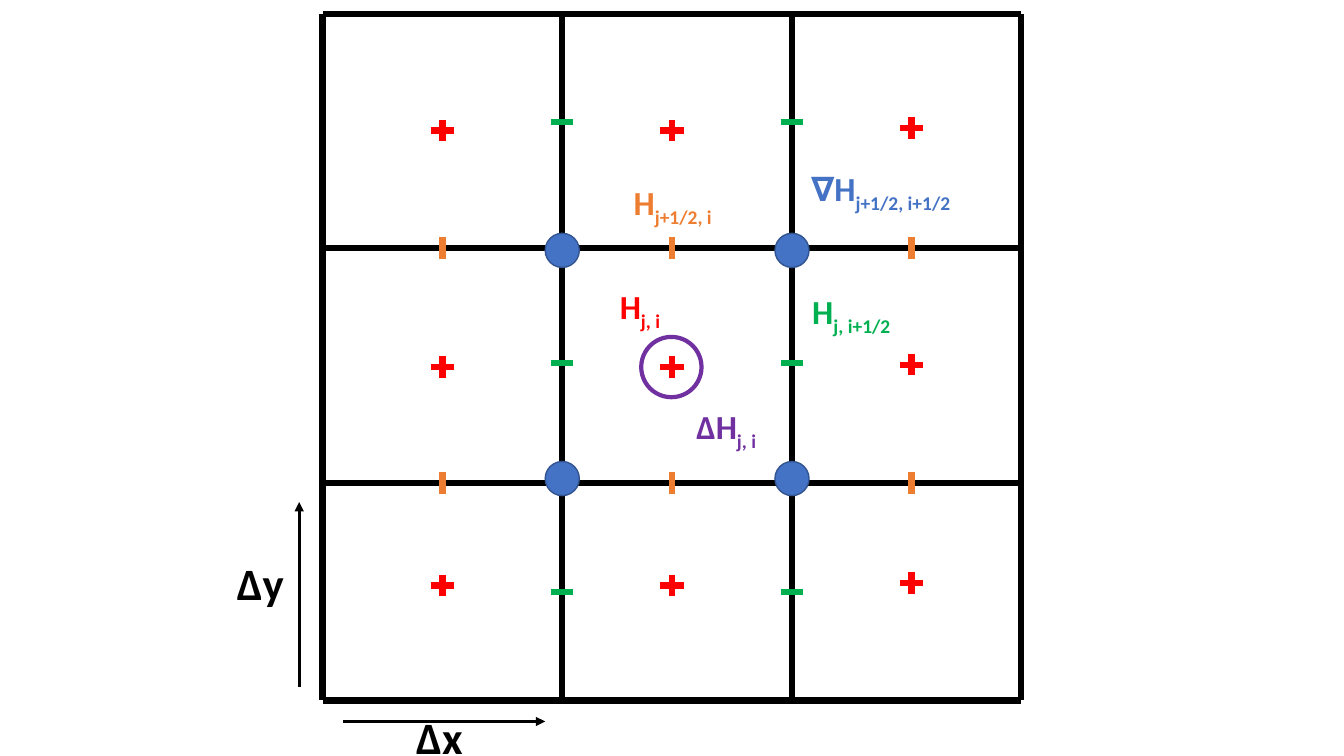
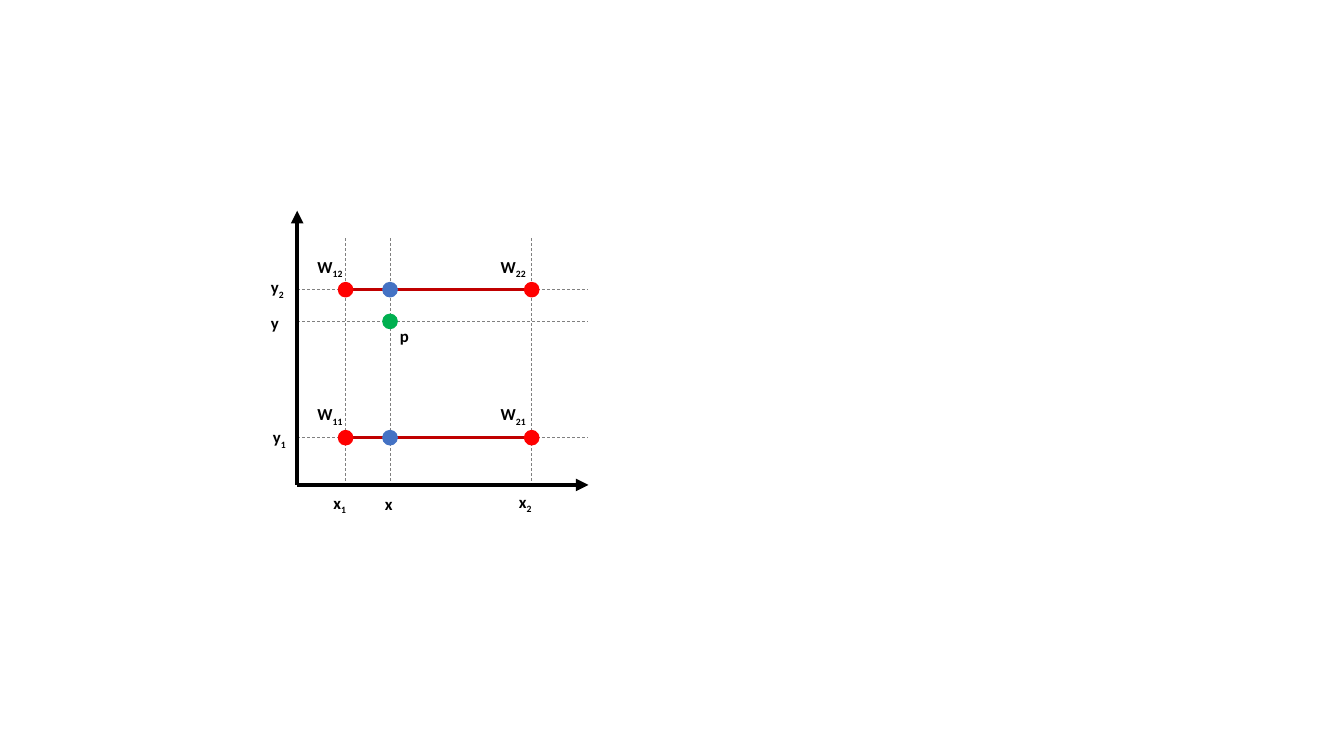
from dataclasses import dataclass
from itertools import product

from lxml import etree
from pptx import Presentation
from pptx import util as u
from pptx.dml import color
from pptx.enum import dml, shapes, text
from pptx.oxml import ns
from pptx.shapes import shapetree

Canvas = shapetree.SlideShapes | shapetree.GroupShapes

BLACK = "000000"
GREY = "808080"
RED = "FF0000"
DARK_RED = "C00000"
GREEN = "00B050"
BLUE = "4472C4"
DARK_BLUE = "325490"
ORANGE = "ED7D31"
PURPLE = "7030A0"
FONT = "Calibri"


@dataclass(frozen=True)
class Stroke:
    hue: str
    width: float
    dashed: bool = False
    arrow: bool = False


@dataclass(frozen=True)
class Label:
    base: str
    subscript: str
    left: float
    top: float
    width: float
    height: float
    size: int
    hue: str = BLACK


@dataclass(frozen=True)
class Dot:
    x: float
    y: float
    radius: float
    fill: str | None
    stroke: Stroke


def rgb(value: str) -> color.RGBColor:
    return color.RGBColor.from_string(value)


def draw_line(canvas: Canvas, x1: float, y1: float, x2: float, y2: float, stroke: Stroke) -> None:
    line = canvas.add_connector(
        shapes.MSO_CONNECTOR.STRAIGHT, u.Cm(x1), u.Cm(y1), u.Cm(x2), u.Cm(y2)
    )
    line.line.color.rgb = rgb(stroke.hue)
    line.line.width = u.Pt(stroke.width)
    if stroke.dashed:
        line.line.dash_style = dml.MSO_LINE.DASH
    if stroke.arrow:
        etree.SubElement(line.get_or_add_ln(), ns.qn("a:tailEnd")).set("type", "triangle")
    etree.SubElement(line._element.spPr, ns.qn("a:effectLst"))


def draw_dot(canvas: Canvas, dot: Dot) -> None:
    size = u.Cm(2 * dot.radius)
    circle = canvas.add_shape(
        shapes.MSO_SHAPE.OVAL, u.Cm(dot.x - dot.radius), u.Cm(dot.y - dot.radius), size, size
    )
    circle.shadow.inherit = False
    if dot.fill:
        circle.fill.solid()
        circle.fill.fore_color.rgb = rgb(dot.fill)
    else:
        circle.fill.background()
    circle.line.color.rgb = rgb(dot.stroke.hue)
    circle.line.width = u.Pt(dot.stroke.width)


def draw_label(canvas: Canvas, label: Label) -> None:
    box = canvas.add_textbox(
        u.Cm(label.left), u.Cm(label.top), u.Cm(label.width), u.Cm(label.height)
    )
    frame = box.text_frame
    frame.word_wrap = True
    frame.auto_size = text.MSO_AUTO_SIZE.SHAPE_TO_FIT_TEXT
    para = frame.paragraphs[0]
    for content, baseline in ((label.base, 0), (label.subscript, -25000)):
        if not content:
            continue
        span = para.add_run()
        span.text = content
        span.font.name = FONT
        span.font.size = u.Pt(label.size)
        span.font.bold = True
        span.font.color.rgb = rgb(label.hue)
        if baseline:
            span._r.get_or_add_rPr().set("baseline", str(baseline))


def draw_tick(canvas: Canvas, x: float, y: float, hue: str, dx: float = 0, dy: float = 0) -> None:
    draw_line(canvas, x - dx, y - dy, x + dx, y + dy, Stroke(hue, 4.5))


def build_staggered_grid(page_shapes: shapetree.SlideShapes) -> None:
    columns = (8.13, 14.17, 19.96, 25.73)
    rows = (0.36, 6.25, 12.17, 17.65)
    centre_columns = (11.15, 16.94, 22.97)
    centre_rows = (3.29, 9.25, 14.75)
    face_rows = (3.08, 9.15, 14.92)
    node_rows = (6.31, 12.06)
    half_tick = 0.28
    wall = Stroke(BLACK, 4.5)

    grid = page_shapes.add_group_shape().shapes
    draw_dot(grid, Dot(16.92, 9.25, 0.76, None, Stroke(PURPLE, 3)))
    for x in columns:
        draw_line(grid, x, rows[0], x, rows[-1], wall)
    for y in rows:
        draw_line(grid, columns[-1], y, columns[0], y, wall)
    for x, y in product(centre_columns, centre_rows):
        raised = y - 0.06 if x == centre_columns[-1] else y
        draw_tick(grid, x, raised, RED, dy=0.27)
        draw_tick(grid, x, raised, RED, dx=0.3)
    for x, y in product(centre_columns, rows[1:-1]):
        draw_tick(grid, x, y, ORANGE, dy=half_tick)
    for x, y in product(columns[1:-1], face_rows):
        draw_tick(grid, x, y, GREEN, dx=half_tick)
    for x, y in product(columns[1:-1], node_rows):
        draw_dot(grid, Dot(x, y, 0.43, BLUE, Stroke(DARK_BLUE, 1)))
    for label in (
        Label("H", "j, i", 15.37, 7.09, 1.9, 1.4, 24, RED),
        Label("H", "j+1/2, i", 15.72, 4.47, 2.77, 1.4, 24, ORANGE),
        Label("H", "j, i+1/2", 20.22, 7.21, 2.77, 1.4, 24, GREEN),
        Label("∇H", "j+1/2, i+1/2", 20.19, 4.11, 4.45, 1.4, 24, BLUE),
        Label("∆H", "j, i", 17.3, 10.11, 4.45, 1.4, 24, PURPLE),
    ):
        draw_label(grid, label)

    spacing = Stroke(BLACK, 2.25, arrow=True)
    draw_line(page_shapes, 7.54, 17.3, 7.54, 12.65, spacing)
    draw_line(page_shapes, 8.64, 18.18, 13.74, 18.18, spacing)
    draw_label(page_shapes, Label("∆y", "", 5.72, 13.87, 1.8, 1.6, 32))
    draw_label(page_shapes, Label("∆x", "", 10.24, 17.75, 1.8, 1.6, 32))


def build_interpolation(page_shapes: shapetree.SlideShapes) -> None:
    x1, x, x2 = 8.71, 9.83, 13.4
    y2, y, y1 = 7.3, 8.1, 11.03
    origin_x, origin_y = 7.49, 12.22
    end_x, end_y = 14.83, 5.31
    guide = Stroke(GREY, 0.5, dashed=True)
    axis = Stroke(BLACK, 3, arrow=True)

    for height in (y2, y, y1):
        draw_line(page_shapes, origin_x, height, end_x, height, guide)
    for across in (x1, x, x2):
        draw_line(page_shapes, across, 6, across, origin_y, guide)
    draw_line(page_shapes, origin_x, origin_y, origin_x, end_y, axis)
    draw_line(page_shapes, origin_x, origin_y, end_x, origin_y, axis)
    for height in (y1, y2):
        draw_line(page_shapes, x1, height, x2, height, Stroke(DARK_RED, 2.25))
        for across, hue in ((x1, RED), (x2, RED), (x, BLUE)):
            draw_dot(page_shapes, Dot(across, height, 0.18, hue, Stroke(hue, 1)))
    draw_dot(page_shapes, Dot(x, y, 0.18, GREEN, Stroke(GREEN, 1)))

    for (column, left), (row, top) in product(
        (("1", 7.75), ("2", 12.37)), (("1", 10.06), ("2", 6.35))
    ):
        draw_label(page_shapes, Label("W", column + row, left, top, 1.4, 0.84, 12))
    for base, subscript, left, top in (
        ("y", "2", 6.58, 6.86),
        ("y", "1", 6.63, 10.64),
        ("x", "1", 8.15, 12.29),
        ("x", "2", 12.83, 12.27),
        ("x", "", 9.45, 12.32),
        ("y", "", 6.58, 7.75),
        ("p", "", 9.83, 8.08),
    ):
        height = 0.84 if subscript else 0.76
        draw_label(page_shapes, Label(base, subscript, left, top, 1.12, height, 12))


def main() -> None:
    deck = Presentation()
    deck.slide_width = u.Cm(33.87)
    deck.slide_height = u.Cm(19.05)
    blank = deck.slide_layouts.get_by_name("Blank")
    for build in (build_staggered_grid, build_interpolation):
        page = deck.slides.add_slide(blank)
        build(page.shapes)
    deck.save("out.pptx")


if __name__ == "__main__":
    main()
